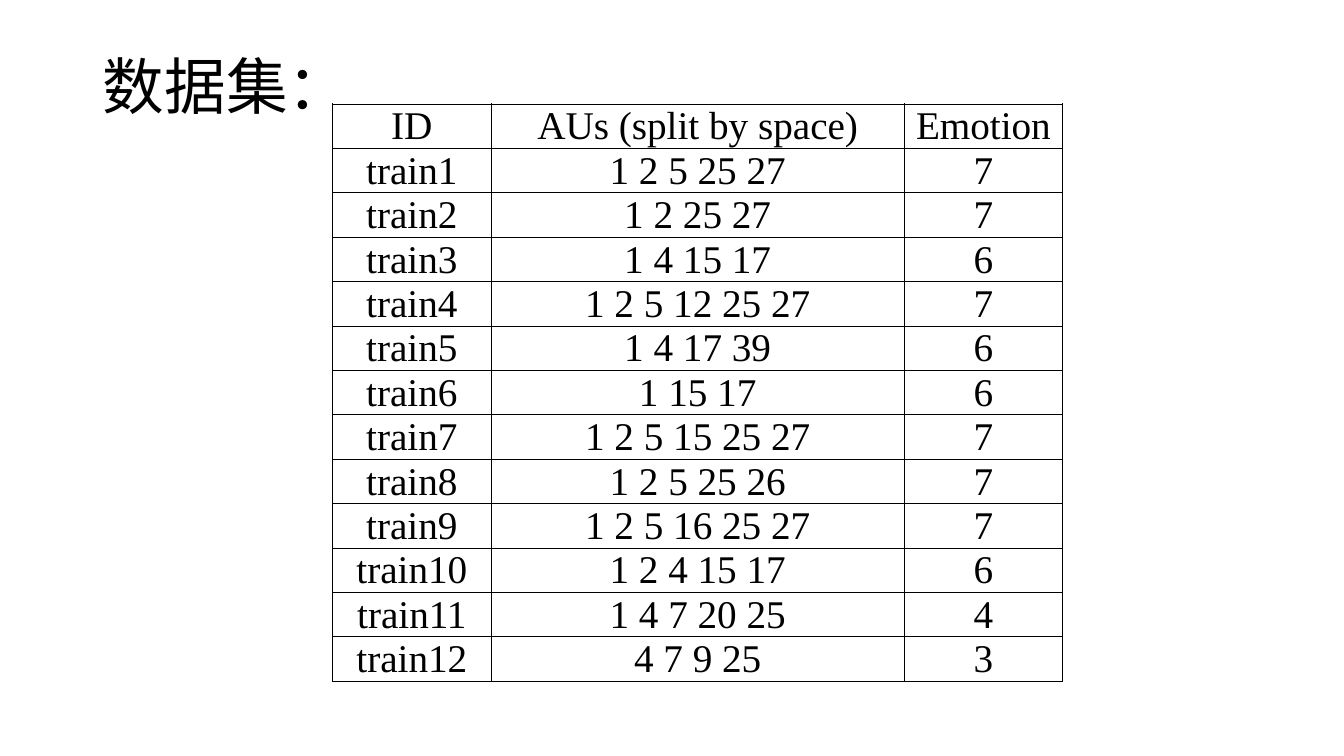
"""Build a slide showing the training dataset of action units and emotions."""
from lxml import etree
from pptx import Presentation
from pptx.dml.color import RGBColor
from pptx.enum.text import MSO_ANCHOR, PP_ALIGN
from pptx.oxml.ns import qn
from pptx.util import Inches, Pt

LEFT, CENTER = PP_ALIGN.LEFT, PP_ALIGN.CENTER
MIDDLE = MSO_ANCHOR.MIDDLE
BLACK = "000000"
ROW_HEIGHT = 0.44
COLUMN_WIDTHS = [1.57, 4.1, 1.57]
HEADINGS = ["ID", "AUs (split by space)", "Emotion"]
SAMPLES = [
    ("1 2 5 25 27", 7),
    ("1 2 25 27", 7),
    ("1 4 15 17", 6),
    ("1 2 5 12 25 27", 7),
    ("1 4 17 39", 6),
    ("1 15 17", 6),
    ("1 2 5 15 25 27", 7),
    ("1 2 5 25 26", 7),
    ("1 2 5 16 25 27", 7),
    ("1 2 4 15 17", 6),
    ("1 4 7 20 25", 4),
    ("4 7 9 25", 3),
]


def style_text(paragraph, font_name, size, alignment, color=BLACK):
    paragraph.alignment = alignment
    paragraph.font.name = font_name
    paragraph.font.size = Pt(size)
    paragraph.font.color.rgb = RGBColor.from_string(color)


def add_borders(cell, color=BLACK, width=0.5):
    properties = cell._tc.get_or_add_tcPr()
    for side in ("lnL", "lnR", "lnT", "lnB"):
        line = etree.SubElement(properties, qn(f"a:{side}"), w=str(Pt(width)))
        fill = etree.SubElement(line, qn("a:solidFill"))
        etree.SubElement(fill, qn("a:srgbClr"), val=color)


presentation = Presentation()
presentation.slide_width = Inches(13.33)
presentation.slide_height = Inches(7.5)
slide = presentation.slides.add_slide(presentation.slide_layouts[5])

title = slide.shapes.title
title.left, title.top = Inches(0.92), Inches(0.4)
title.width, title.height = Inches(11.5), Inches(0.98)
title.text_frame.text = "数据集："
title.text_frame.vertical_anchor = MIDDLE
heading = title.text_frame.paragraphs[0]
heading.line_spacing = 0.9
style_text(heading, "Calibri", 44, LEFT)

records = [HEADINGS] + [
    (f"train{number}", units, str(emotion))
    for number, (units, emotion) in enumerate(SAMPLES, start=1)
]
dataset = slide.shapes.add_table(
    len(records), len(HEADINGS), Inches(3.3), Inches(1.03),
    Inches(sum(COLUMN_WIDTHS)), Inches(ROW_HEIGHT * len(records)),
).table
dataset.first_row = False
dataset.horz_banding = False
for column, width in zip(dataset.columns, COLUMN_WIDTHS):
    column.width = Inches(width)

for row, record in zip(dataset.rows, records):
    row.height = Inches(ROW_HEIGHT)
    for cell, value in zip(row.cells, record):
        cell.text = value
        cell.vertical_anchor = MIDDLE
        cell.margin_left = cell.margin_right = cell.margin_top = Inches(0.01)
        cell.margin_bottom = 0
        add_borders(cell)
        cell.fill.background()
        style_text(cell.text_frame.paragraphs[0], "Times New Roman", 28, CENTER)

presentation.save("out.pptx")
